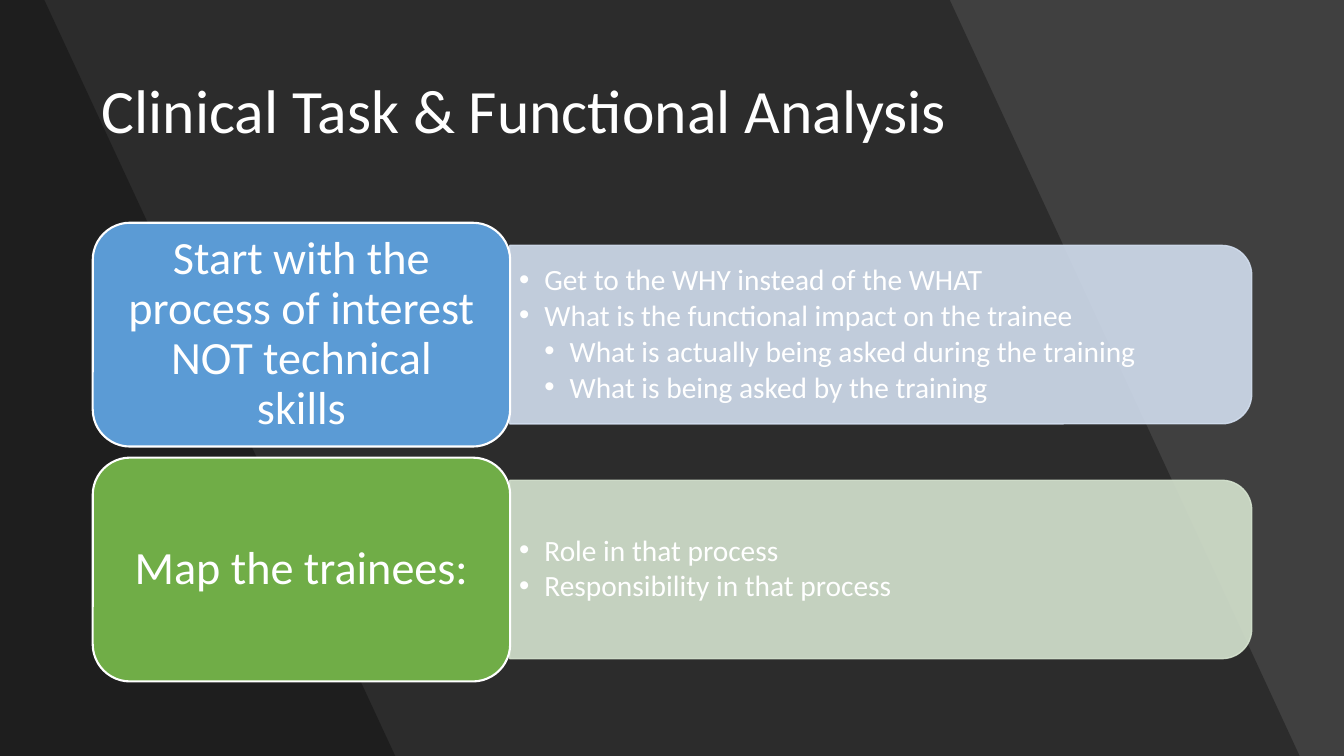
from pptx import Presentation
from pptx.dml.color import RGBColor as RGB
from pptx.enum.shapes import MSO_SHAPE as Kind
from pptx.enum.text import MSO_ANCHOR as Anchor, PP_ALIGN as Align
from pptx.util import Pt
from lxml.etree import SubElement as Sub
from pptx.oxml.ns import qn

PX = 9144
THEME = {
    "font": "Calibri", "text": "FFFFFF", "back": "404040", "shade": "000000",
    "title": 44, "head": 33, "item": 21,
}
ROWS = [
    ("Start with the process of interest NOT technical skills", "5B9BD5", "D2DEEF", [
        (0, "Get to the WHY instead of the WHAT"),
        (0, "What is the functional impact on the trainee"),
        (1, "What is actually being asked during the training"),
        (1, "What is being asked by the training"),
    ]),
    ("Map the trainees:", "70AD47", "D5E3CF", [
        (0, "Role in that process"),
        (0, "Responsibility in that process"),
    ]),
]


def paint(fill, color, alpha=100):
    fill.solid()
    fill.fore_color.rgb = RGB.from_string(color)
    if alpha < 100:
        node = fill._xPr.find(qn("a:solidFill"))[0]
        Sub(node, qn("a:alpha")).set("val", str(alpha * 1000))


def write(shape, lines, size, after, inset, align=Align.LEFT):
    frame = shape.text_frame
    frame.word_wrap = True
    frame.vertical_anchor = Anchor.MIDDLE
    frame.margin_left = frame.margin_right = inset[0] * PX
    frame.margin_top = frame.margin_bottom = inset[1] * PX
    frame.text = "\n".join(lines)
    for para in frame.paragraphs:
        para.alignment = align
        para.line_spacing = 0.9
        para.space_after = Pt(after)
        font = para.runs[0].font
        font.name = THEME["font"]
        font.size = Pt(size)
        font.color.rgb = RGB.from_string(THEME["text"])
    return frame


deck = Presentation()
deck.slide_width, deck.slide_height = 1333 * PX, 750 * PX
slide = deck.slides.add_slide(deck.slide_layouts[6])
paint(slide.background.fill, THEME["back"])
shapes = slide.shapes

for top, base in [(942, 1289), (44, 392)]:
    form = shapes.build_freeform(0, 0, scale=PX)
    form.add_line_segments([(top, 0), (base, 750), (0, 750)], close=True)
    band = form.convert_to_shape()
    band.shadow.inherit = False
    paint(band.fill, THEME["shade"], 30)
    band.line.fill.background()

title = shapes.add_textbox(91 * PX, 40 * PX, 1151 * PX, 145 * PX)
write(title, ["Clinical Task & Functional Analysis"], THEME["title"], 6, (10, 5))

for row, (head, color, tint, items) in enumerate(ROWS):
    y = 221 + row * 233

    panel = shapes.add_shape(
        Kind.ROUND_2_SAME_RECTANGLE, 785 * PX, (y - 257) * PX, 177 * PX, 736 * PX)
    panel.rotation = 90
    panel.shadow.inherit = False
    paint(panel.fill, tint, 90)
    paint(panel.line.fill, tint, 90)
    panel.line.width = Pt(1)

    notes = shapes.add_textbox(506 * PX, (y + 31) * PX, 727 * PX, 160 * PX)
    frame = write(notes, [text for _, text in items], THEME["item"], 3, (9, 4))
    for para, (level, _) in zip(frame.paragraphs, items):
        para.level = level + 1
        props = para._p.get_or_add_pPr()
        props.set("marL", str(25 * (level + 1) * PX))
        props.set("indent", str(-25 * PX))
        Sub(props, qn("a:buFont")).set("typeface", "Arial")
        Sub(props, qn("a:buChar")).set("char", "•")

    card = shapes.add_shape(
        Kind.ROUNDED_RECTANGLE, 92 * PX, y * PX, 414 * PX, 222 * PX)
    card.shadow.inherit = False
    paint(card.fill, color)
    paint(card.line.fill, THEME["text"])
    card.line.width = Pt(1.5)
    write(card, [head], THEME["head"], 12, (24, 18), Align.CENTER)

deck.save("out.pptx")
